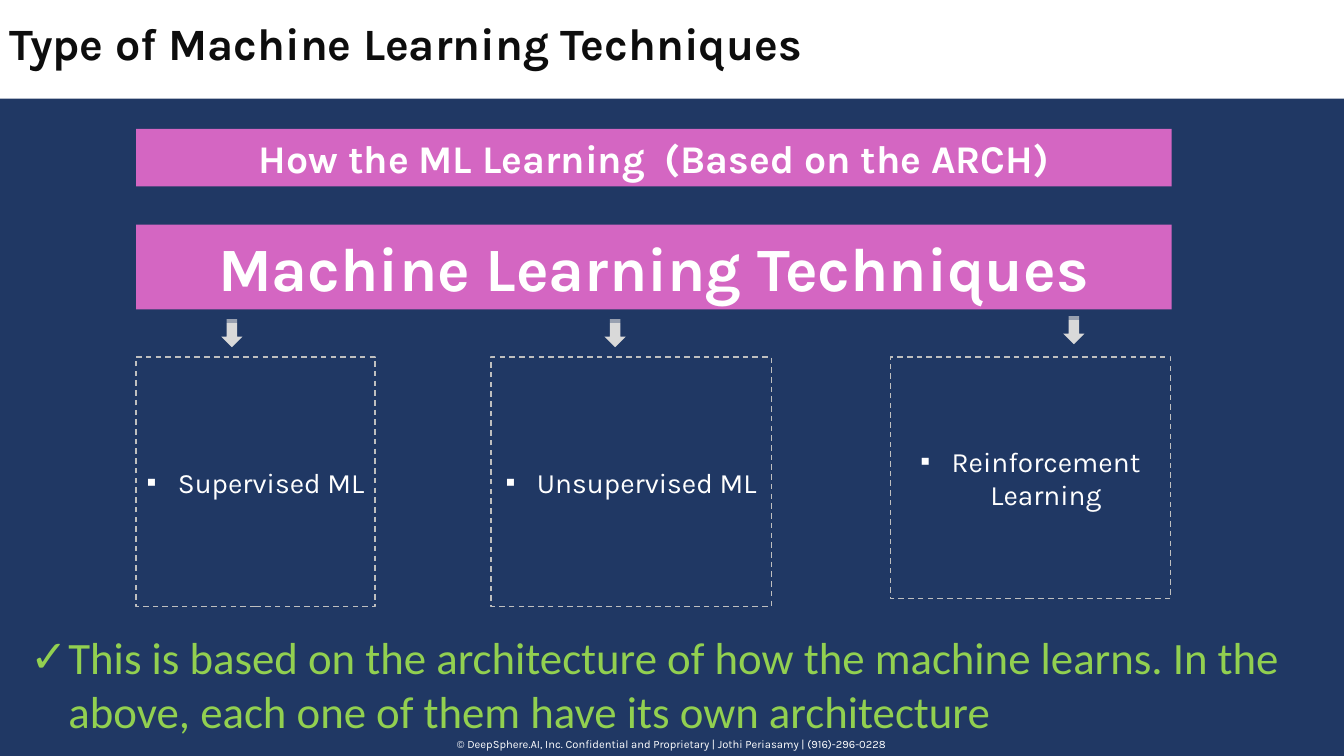
from lxml import etree
from pptx import Presentation
from pptx.dml.color import RGBColor
from pptx.enum.dml import MSO_LINE
from pptx.enum.shapes import MSO_SHAPE as Preset
from pptx.enum.text import MSO_ANCHOR as Anchor, PP_ALIGN as Align
from pptx.oxml.ns import qn
from pptx.util import Inches, Pt

NAVY = RGBColor(0x20, 0x38, 0x64)
WHITE = RGBColor(0xFF, 0xFF, 0xFF)
BLACK = RGBColor(0x0D, 0x0D, 0x0D)
PINK = RGBColor(0xD4, 0x66, 0xC2)
ARROW_GRAY = RGBColor(0xD9, 0xD9, 0xD9)
BORDER_GRAY = RGBColor(0xBF, 0xBF, 0xBF)
GREEN = RGBColor(0x92, 0xD0, 0x50)

# Content
SLIDE_W, SLIDE_H = 13.33, 7.5
TITLE = "Type of Machine Learning Techniques"
FOOTER = ("© DeepSphere.AI, Inc. Confidential and Proprietary | "
          "Jothi Periasamy | (916)-296-0228")
TAKEAWAY = ("This is based on the architecture of how the machine learns. "
            "In the above, each one of them have its own architecture")
# text, top, height, size
BANNERS = [
    ("How the ML Learning  (Based on the ARCH)", 1.28, 0.57, 28),
    ("Machine Learning Techniques", 2.23, 0.84, 44),
]
BANNER_LEFT, BANNER_W = 1.35, 10.27
# text, left, width, height, arrow left, arrow top
TECHNIQUES = [
    ("Supervised ML", 1.35, 2.37, 2.48, 2.16, 3.2),
    ("Unsupervised ML", 4.87, 2.78, 2.48, 5.96, 3.2),
    ("Reinforcement Learning", 8.83, 2.78, 2.4, 10.51, 3.17),
]
TECHNIQUE_TOP = 3.54
ARROW_W, ARROW_H = 0.28, 0.21

prs = Presentation()
prs.slide_width, prs.slide_height = Inches(SLIDE_W), Inches(SLIDE_H)
slide = prs.slides.add_slide(prs.slide_layouts[6])
slide.background.fill.solid()
slide.background.fill.fore_color.rgb = NAVY


def add_box(preset, left, top, width, height, fill=None):
    box = slide.shapes.add_shape(
        preset, Inches(left), Inches(top), Inches(width), Inches(height))
    box.shadow.inherit = False
    box.line.fill.background()
    if fill is None:
        box.fill.background()
    else:
        box.fill.solid()
        box.fill.fore_color.rgb = fill
    return box


def add_text(left, top, width, height):
    return slide.shapes.add_textbox(
        Inches(left), Inches(top), Inches(width), Inches(height))


def write(box, text, size, color, font="Karla", bold=False,
          align=Align.LEFT, anchor=Anchor.TOP, bullet=None, indent=0):
    frame = box.text_frame
    frame.word_wrap = True
    frame.vertical_anchor = anchor
    frame.text = text
    paragraph = frame.paragraphs[0]
    paragraph.alignment = align
    if bullet:
        props = paragraph._p.get_or_add_pPr()
        props.set("marL", str(Inches(indent)))
        props.set("indent", str(-Inches(indent)))
        etree.SubElement(props, qn("a:buFont")).set("typeface", "Arial")
        etree.SubElement(props, qn("a:buChar")).set("char", bullet)
    run_font = paragraph.runs[0].font
    run_font.name, run_font.size, run_font.bold = font, Pt(size), bold
    run_font.color.rgb = color


# Footer and title bar
write(add_text(0, 7.27, SLIDE_W, 0.24), FOOTER, 8, WHITE, align=Align.CENTER)
add_box(Preset.RECTANGLE, 0, 0, SLIDE_W, 0.98, WHITE)
write(add_text(0, 0.11, SLIDE_W, 0.64), TITLE, 32, BLACK, bold=True)

# Banners
for text, top, height, size in BANNERS:
    banner = add_box(Preset.RECTANGLE, BANNER_LEFT, top, BANNER_W, height, PINK)
    write(banner, text, size, WHITE, bold=True, align=Align.CENTER)

# Techniques, each under its arrow
for text, left, width, height, arrow_left, arrow_top in TECHNIQUES:
    arrow = add_box(Preset.STRIPED_RIGHT_ARROW, arrow_left, arrow_top,
                    ARROW_W, ARROW_H, ARROW_GRAY)
    arrow.rotation = 90
    technique = add_box(Preset.RECTANGLE, left, TECHNIQUE_TOP, width, height)
    technique.line.color.rgb = BORDER_GRAY
    technique.line.width = Pt(1)
    technique.line.dash_style = MSO_LINE.DASH
    write(technique, text, 20, WHITE, align=Align.CENTER,
          anchor=Anchor.MIDDLE, bullet="▪", indent=0.31)

# Takeaway
write(add_text(0.2, 6.2, 13.12, 1.18), TAKEAWAY, 32, GREEN, font="Calibri",
      bullet="✓", indent=0.38)

prs.save("out.pptx")
